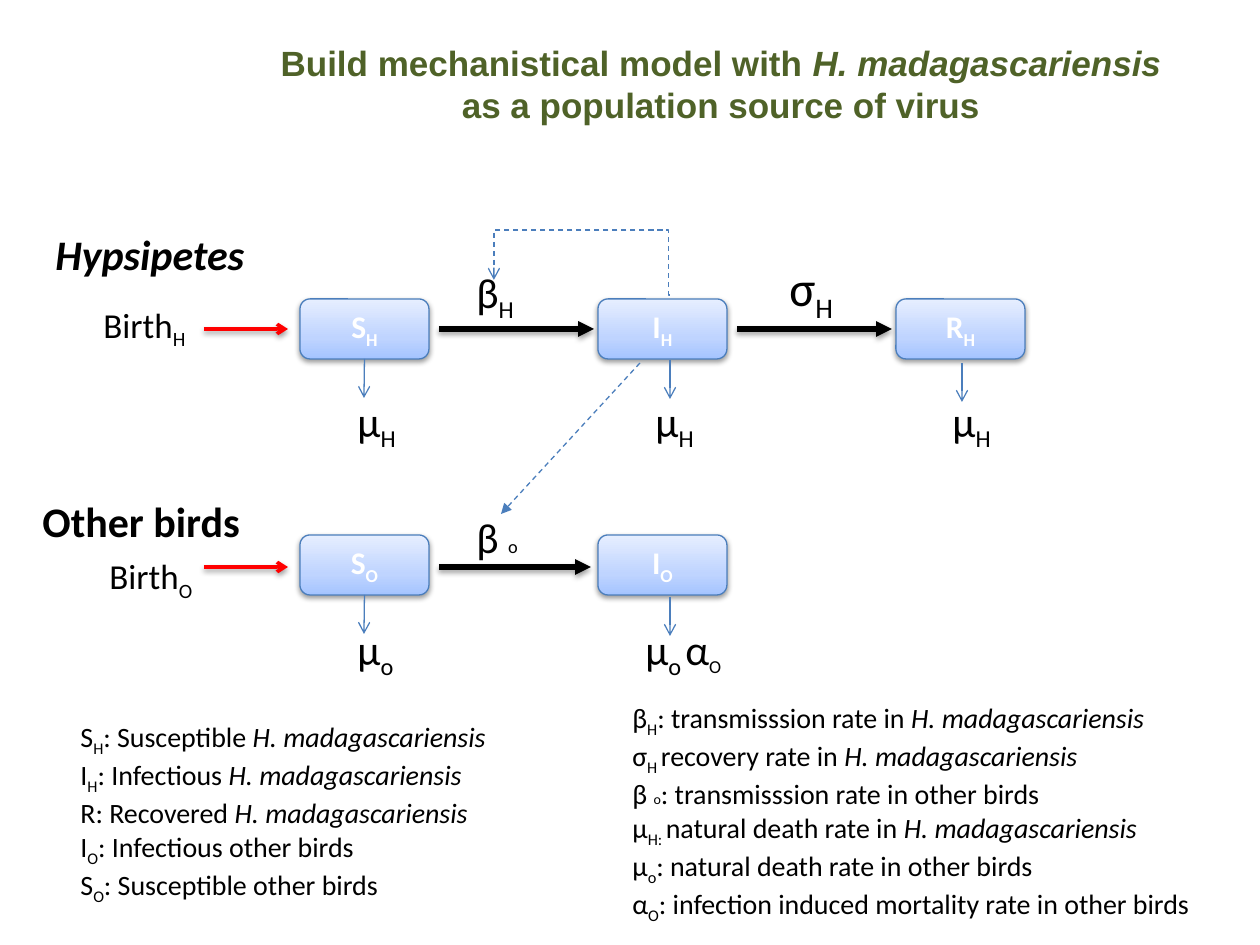
from lxml import etree
from pptx import Presentation
from pptx import util as u
from pptx.dml.color import RGBColor
from pptx.enum import dml, shapes, text
from pptx.oxml import parse_xml
from pptx.oxml.ns import nsdecls, qn

PX = 914400 / 126
COLORS = {"title": "4F6228", "ink": "000000", "box_text": "FFFFFF",
          "outline": "4B7EBC", "birth": "FF0000"}
BOX_GRADIENT = {0: "A4C4FF", 35: "BFD4FF", 100: "E6EEFF"}
SHADOW = (f'<a:effectLst {nsdecls("a")}><a:outerShdw blurRad="40000" dist="20000" '
          'dir="5400000" rotWithShape="0"><a:srgbClr val="000000">'
          '<a:alpha val="38000"/></a:srgbClr></a:outerShdw></a:effectLst>')

prs = Presentation()
prs.slide_width, prs.slide_height = round(1260 * PX), round(945 * PX)
slide = prs.slides.add_slide(prs.slide_layouts[6])


def write(content, at=None, shape=None, size=24, small=None, color="ink",
          font="Calibri", bold=False, italic=False, align=None):
    """Runs are parted by |; a run may start with _ (subscript), * (italic) or ~ (small size)."""
    if shape is None:
        shape = slide.shapes.add_textbox(*(round(v * PX) for v in at))
        shape.text_frame.auto_size = text.MSO_AUTO_SIZE.SHAPE_TO_FIT_TEXT
    frame = shape.text_frame
    frame.word_wrap = True
    for index, line in enumerate(content.split("\n")):
        paragraph = frame.paragraphs[0] if index == 0 else frame.add_paragraph()
        paragraph.alignment = align
        for piece in line.split("|"):
            words = piece.lstrip("_*~")
            marks = piece[:len(piece) - len(words)]
            run = paragraph.add_run()
            run.text = words
            run.font.name = font
            run.font.size = u.Pt(small if "~" in marks else size)
            run.font.bold = bold
            run.font.italic = italic or "*" in marks
            run.font.color.rgb = RGBColor.from_string(COLORS[color])
            if "_" in marks:
                run.font._element.set("baseline", "-25000")


def connect(x1, y1, x2, y2, color="outline", width=0.75, head="arrow",
            dashed=False, shadow=False, kind=shapes.MSO_CONNECTOR.STRAIGHT):
    arrow = slide.shapes.add_connector(kind, *(round(v * PX) for v in (x1, y1, x2, y2)))
    arrow.line.color.rgb = RGBColor.from_string(COLORS[color])
    arrow.line.width = u.Pt(width)
    if dashed:
        arrow.line.dash_style = dml.MSO_LINE.DASH
    etree.SubElement(arrow.line._get_or_add_ln(), qn("a:tailEnd"), type=head)
    effects = SHADOW if shadow else f'<a:effectLst {nsdecls("a")}/>'
    arrow._element.spPr.append(parse_xml(effects))
    return arrow


write("Build mechanistical model with |*H. madagascariensis| as a population source of virus",
      (246, 35, 950, 97), size=20, color="title", font="Arial", bold=True,
      align=text.PP_ALIGN.CENTER)

# Compartments
stops = "".join(f'<a:gs pos="{pos * 1000}"><a:srgbClr val="{color}"/></a:gs>'
                for pos, color in BOX_GRADIENT.items())
gradient = (f'<a:gradFill {nsdecls("a")} rotWithShape="1"><a:gsLst>{stops}</a:gsLst>'
            '<a:lin ang="16200000" scaled="0"/></a:gradFill>')
compartments = {}
for label, column, top in [("S|_H", 0, 299), ("I|_H", 1, 299), ("R|_H", 2, 299),
                           ("S|_O", 0, 535), ("I|_O", 1, 535)]:
    box = slide.shapes.add_shape(
        shapes.MSO_SHAPE.ROUNDED_RECTANGLE,
        *(round(v * PX) for v in (300 + 298 * column, top, 129, 60)))
    box._element.spPr.insert(2, parse_xml(gradient))
    box.line.color.rgb = RGBColor.from_string(COLORS["outline"])
    box.line.width = u.Pt(0.75)
    box._element.spPr.append(parse_xml(SHADOW))
    box.text_frame.vertical_anchor = text.MSO_ANCHOR.MIDDLE
    write(label, shape=box, size=18, color="box_text", bold=True, align=text.PP_ALIGN.CENTER)
    compartments[label] = box

# Births and transitions between compartments
for y in (329, 567):
    connect(204, y, 288, y, color="birth", width=2, shadow=True)
for x1, x2, y in [(439, 594, 329), (737, 892, 329), (439, 591, 567)]:
    connect(x1, y, x2, y, color="ink", width=3, head="triangle", shadow=True)

# Deaths
for x, y, source in [(364, 359, "S|_H"), (670, 360, None), (962, 363, None),
                     (364, 595, "S|_O"), (670, 597, None)]:
    death = connect(x, y, x, y + 39)
    if source:
        death.begin_connect(compartments[source], 2)

# Infection pressure from infectious Hypsipetes
connect(640, 363, 501, 514, head="triangle", dashed=True)
feedback = connect(670, 295, 494, 280, dashed=True, kind=shapes.MSO_CONNECTOR.ELBOW)
route = feedback._element.spPr.find(qn("a:prstGeom"))
route.set("prst", "bentConnector4")
guides = route.get_or_add_avLst()
for name, value in [("adj1", 700), ("adj2", 433300)]:
    etree.SubElement(guides, qn("a:gd"), name=name, fmla=f"val {value}")

# Rates and group names
write("β|_H", (464, 260, 84, 63))
write("σ|_H", (777, 251, 84, 72), size=28)
write("β |~o", (464, 505, 84, 63), small=10.5)
for rate, x, y in [("µ|_H", 345, 389), ("µ|_H", 643, 389), ("µ|_H", 940, 389),
                   ("µ|_o", 345, 617), ("µ|_o", 633, 617), ("α|~_O", 673, 617)]:
    write(rate, (x, y, 79, 63), small=18)
write("Birth|_H", (91, 297, 123, 55), size=20)
write("Birth|_O", (97, 548, 126, 55), size=20)
write("Hypsipetes", (43, 222, 241, 63), bold=True, italic=True)
write("Other birds", (30, 489, 302, 63), bold=True)

# Legends
write("""S|_H|: Susceptible |*H. madagascariensis
I|_H|: Infectious |*H. madagascariensis
R: Recovered |*H. madagascariensis
I|_O|: Infectious other birds
S|_O|: Susceptible other birds""", (68, 713, 533, 217), size=16)
write("""β|_H|: transmisssion rate in |*H. madagascariensis
σ|_H |recovery rate in |*H. madagascariensis
β |~o|: transmisssion rate in other birds
µ|_H: |natural death rate in |*H. madagascariensis
µ|_o|: natural death rate in other birds
α|_O|: infection induced mortality rate in other birds""",
      (620, 694, 625, 254), size=16, small=8)

prs.save("out.pptx")
